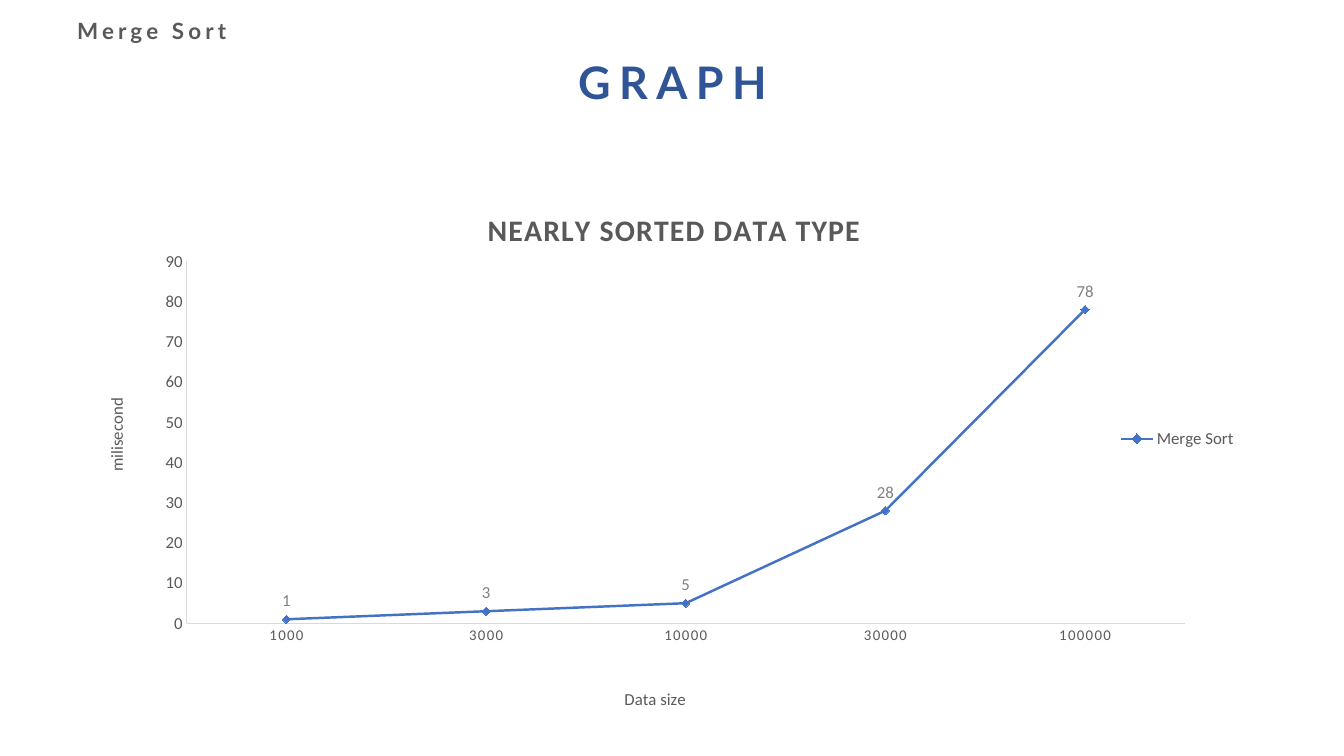
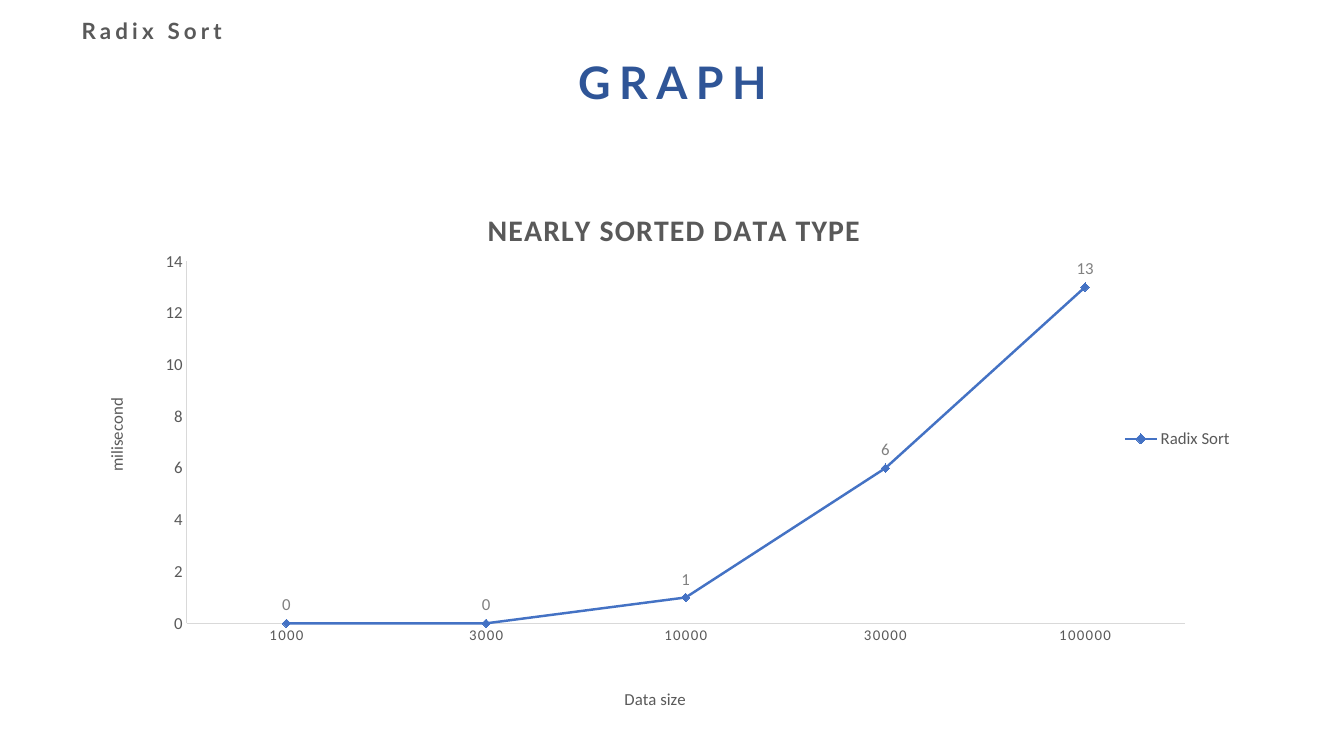
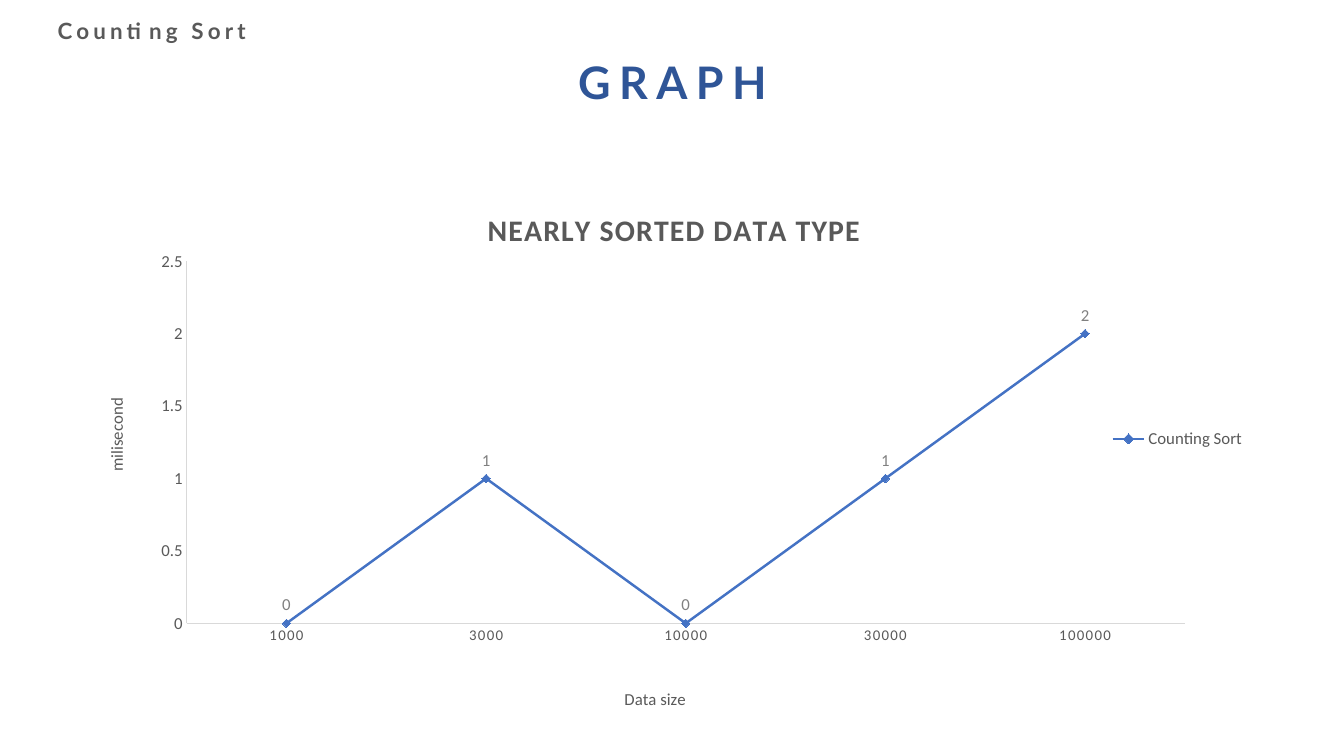
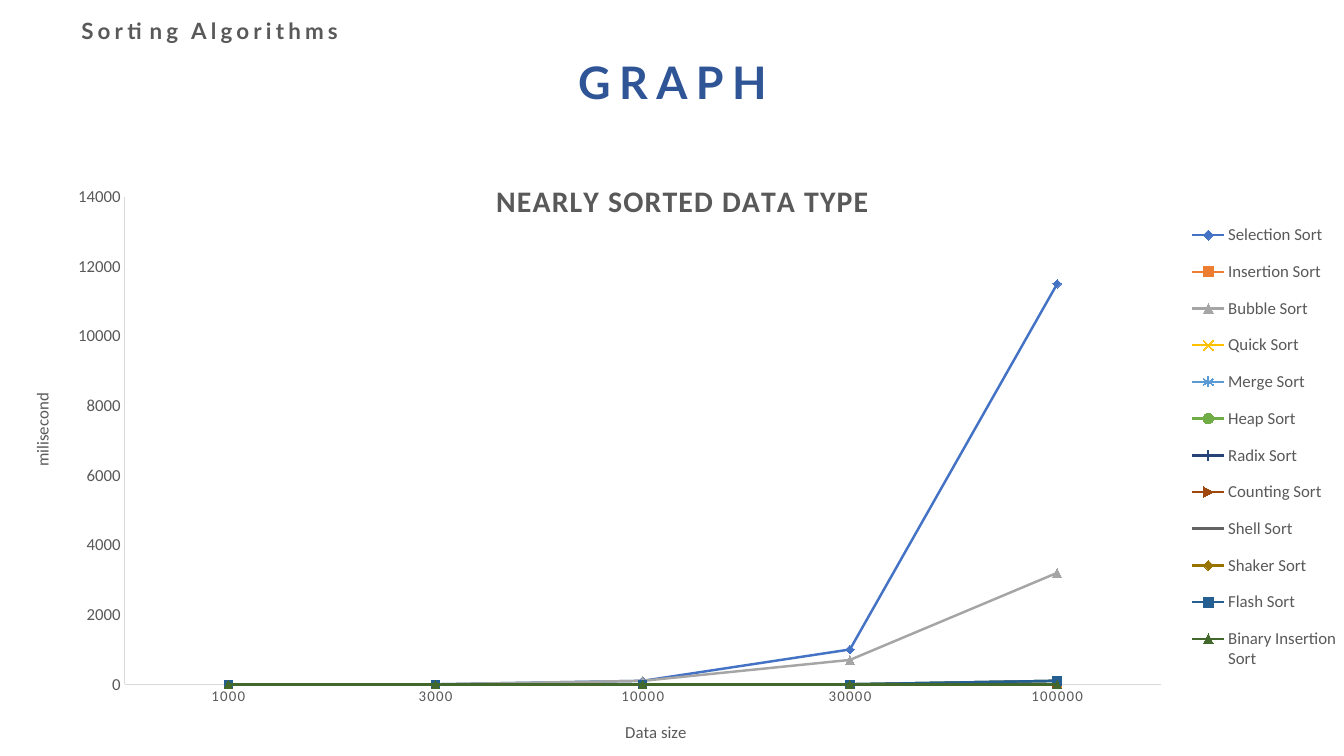
from dataclasses import dataclass

from lxml import etree
from pptx import Presentation, util as u
from pptx.chart.data import CategoryChartData
from pptx.dml.color import RGBColor
from pptx.enum import chart as ch, text as tx
from pptx.oxml import ns


@dataclass(frozen=True)
class Theme:
    """Hold the colours, type formats and line widths of the deck."""
    heading = dict(name="Lato", size=32, color="2F5597", bold=True)
    topic = dict(name="Lato", size=16, color="595959", bold=True)
    base = dict(name="Calibri", size=10, color="000000")
    chart_title = dict(name="Calibri", size=21.3, color="595959", bold=True)
    category = dict(name="Calibri", size=10.6, color="595959", bold=False)
    value = dict(name="Calibri", size=12, color="595959", bold=False)
    label = dict(name="Calibri", size=12, color="808080", bold=False)
    axis_line = "D9D9D9"
    axis_width = 0.75
    series_width = 1.75
    marker_size = 6
    accents = ("4472C4", "ED7D31", "A5A5A5", "FFC000", "5B9BD5", "70AD47",
               "264478", "9E480E", "636363", "997300", "255E91", "43682B")
    markers = ("DIAMOND", "SQUARE", "TRIANGLE", "X", "STAR", "CIRCLE",
               "PLUS", "DOT", "DASH")
    open_markers = ("X", "STAR", "PLUS")


THEME = Theme()
WIDTH, HEIGHT = u.Inches(13.33), u.Inches(7.5)
HEADING_BOX = (40.06, 6.53, 19.95, 8.53)
TOPIC_BOX = (3.08, 1.6, 16.43, 4.93)
WIDE_TOPIC_BOX = (3.08, 1.6, 25.06, 4.93)
AXIS_TITLES = {"catAx": (45.6, 93.8), "valAx": (0.8, 40.2)}
SINGLE = dict(box=(6.9, 23.47, 86.27, 71.6), plot=(8.1, 15.5, 86.1, 66.9),
              title=(33.6, 5), legend=(87.1, 43.3, 13, 10))
SUMMARY = dict(box=(1.28, 19.07, 98.72, 80.93), plot=(8.1, 8.6, 78.1, 79.7),
               title=(35.7, 5), legend=(88, 10.5, 12, 78))
SIZES = ("1000", "3000", "10000", "30000", "100000")
SORTS = {"Merge Sort": (1, 3, 5, 28, 78),
         "Radix Sort": (0, 0, 1, 6, 13),
         "Counting Sort": (0, 1, 0, 1, 2)}
ALL_SORTS = {"Selection Sort": (0, 0, 100, 1000, 11500),
             "Insertion Sort": (0, 0, 0, 0, 0),
             "Bubble Sort": (0, 0, 100, 700, 3200),
             "Quick Sort": (0, 0, 0, 0, 0),
             "Merge Sort": (0, 0, 0, 0, 100),
             "Heap Sort": (0, 0, 0, 0, 100),
             "Radix Sort": (0, 0, 0, 0, 0),
             "Counting Sort": (0, 0, 0, 0, 0),
             "Shell Sort": (0, 0, 0, 0, 100),
             "Shaker Sort": (0, 0, 0, 0, 0),
             "Flash Sort": (0, 0, 0, 0, 100),
             "Binary Insertion Sort": (0, 0, 0, 0, 0)}


def on_slide(box):
    """Turn percentages of the slide into lengths."""
    return [round(share * side / 100)
            for share, side in zip(box, (WIDTH, HEIGHT) * 2)]


def set_font(font, style):
    """Apply a format dict to a font."""
    for key, value in style.items():
        if key == "color":
            font.color.rgb = RGBColor.from_string(value)
        else:
            setattr(font, key, u.Pt(value) if key == "size" else value)


def track(element, query, points):
    """Set letter spacing on the text properties that a query finds."""
    for properties in element.xpath(query):
        properties.set("spc", str(points * 100))


def fill_text(shape, words, style, spacing, after=0):
    """Write one centred, letter-spaced line into a shape."""
    frame = shape.text_frame
    frame.text = words
    frame.word_wrap = True
    frame.auto_size = tx.MSO_AUTO_SIZE.SHAPE_TO_FIT_TEXT
    line = frame.paragraphs[0]
    line.alignment = tx.PP_ALIGN.CENTER
    line.space_after = u.Pt(after)
    set_font(line.runs[0].font, style)
    track(shape.element, ".//a:rPr", spacing)


def place_part(part, box, index=1, inner=False):
    """Fix a chart part at percentages of the chart area."""
    for old in part.findall(ns.qn("c:layout")):
        part.remove(old)
    layout = etree.Element(ns.qn("c:layout"))
    manual = etree.SubElement(layout, ns.qn("c:manualLayout"))
    settings = [("layoutTarget", "inner")] if inner else []
    settings += [("xMode", "edge"), ("yMode", "edge")]
    settings += [(key, str(round(share / 100, 4)))
                 for key, share in zip("xywh", box)]
    for key, value in settings:
        etree.SubElement(manual, ns.qn("c:" + key)).set("val", value)
    part.insert(index, layout)


def format_axis(axis, words, style):
    """Give an axis its title, type and line."""
    axis.has_title = True
    frame = axis.axis_title.text_frame
    frame.text = words
    set_font(frame.paragraphs[0].runs[0].font, THEME.value)
    axis.has_major_gridlines = False
    axis.major_tick_mark = axis.minor_tick_mark = ch.XL_TICK_MARK.NONE
    set_font(axis.tick_labels.font, style)
    axis.format.line.color.rgb = RGBColor.from_string(THEME.axis_line)
    axis.format.line.width = u.Pt(THEME.axis_width)


def format_series(series, number, labelled):
    """Colour a line and its markers, with optional value labels."""
    color = RGBColor.from_string(THEME.accents[number])
    marker = THEME.markers[number % len(THEME.markers)]
    series.smooth = False
    series.format.line.color.rgb = color
    series.format.line.width = u.Pt(THEME.series_width)
    series.marker.style = ch.XL_MARKER_STYLE[marker]
    series.marker.size = THEME.marker_size
    series.marker.format.line.color.rgb = color
    if marker in THEME.open_markers:
        series.marker.format.fill.background()
    else:
        series.marker.format.fill.solid()
        series.marker.format.fill.fore_color.rgb = color
    if labelled:
        labels = series.data_labels
        labels.show_value = True
        labels.position = ch.XL_LABEL_POSITION.ABOVE
        set_font(labels.font, THEME.label)


def add_timing_chart(slide, timings, frame):
    """Draw the running times as lines inside the given frame."""
    data = CategoryChartData()
    data.categories = SIZES
    for name, values in timings.items():
        data.add_series(name, values)
    chart = slide.shapes.add_chart(ch.XL_CHART_TYPE.LINE_MARKERS,
                                   *on_slide(frame["box"]), data).chart
    set_font(chart.font, THEME.base)
    chart.plots[0].vary_by_categories = False
    chart.has_title = True
    chart.chart_title.text_frame.text = "NEARLY SORTED DATA TYPE"
    set_font(chart.chart_title.text_frame.paragraphs[0].runs[0].font,
             THEME.chart_title)
    chart.chart_title.include_in_layout = False
    chart.has_legend = True
    chart.legend.position = ch.XL_LEGEND_POSITION.RIGHT
    chart.legend.include_in_layout = False
    set_font(chart.legend.font, THEME.value)
    format_axis(chart.category_axis, "Data size", THEME.category)
    format_axis(chart.value_axis, "milisecond", THEME.value)
    for number, series in enumerate(chart.plots[0].series):
        format_series(series, number, len(timings) == 1)

    root = chart.element
    track(root, "c:chart/c:title//a:rPr", 1)
    track(root, ".//c:catAx/c:txPr//a:defRPr", 1)
    for body in root.xpath(".//c:valAx/c:title//a:bodyPr"):
        body.set("rot", "-5400000")
    place_part(root.xpath("c:chart/c:title")[0], frame["title"])
    place_part(root.xpath("c:chart/c:legend")[0], frame["legend"])
    place_part(root.xpath("c:chart/c:plotArea")[0], frame["plot"], 0, True)
    for axis, corner in AXIS_TITLES.items():
        place_part(root.xpath(f".//c:{axis}/c:title")[0], corner)


def add_graph_slide(deck, topic, topic_box, timings, frame):
    """Build one slide with heading, topic and timing chart."""
    slide = deck.slides.add_slide(deck.slide_layouts[5])
    heading = slide.shapes.title
    heading.left, heading.top, heading.width, heading.height = on_slide(
        HEADING_BOX)
    fill_text(heading, "GRAPH", THEME.heading, 6)
    add_timing_chart(slide, timings, frame)
    corner = slide.shapes.add_textbox(*on_slide(topic_box))
    fill_text(corner, topic, THEME.topic, 3, after=6)


def main():
    """Build and save the deck."""
    deck = Presentation()
    deck.slide_width, deck.slide_height = WIDTH, HEIGHT
    for name, values in SORTS.items():
        add_graph_slide(deck, name, TOPIC_BOX, {name: values}, SINGLE)
    add_graph_slide(deck, "Sorting Algorithms", WIDE_TOPIC_BOX, ALL_SORTS,
                    SUMMARY)
    deck.save("out.pptx")


if __name__ == "__main__":
    main()
